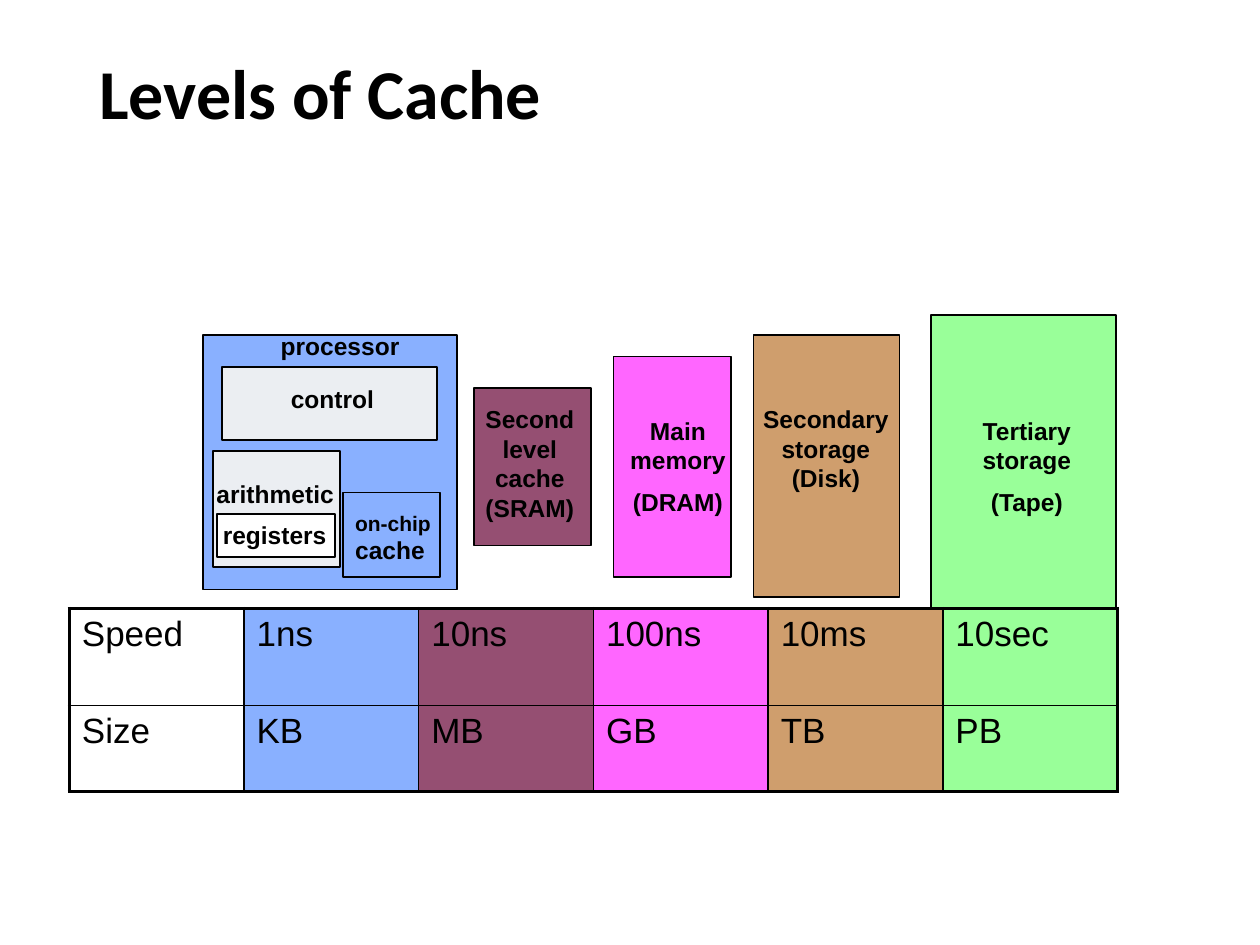
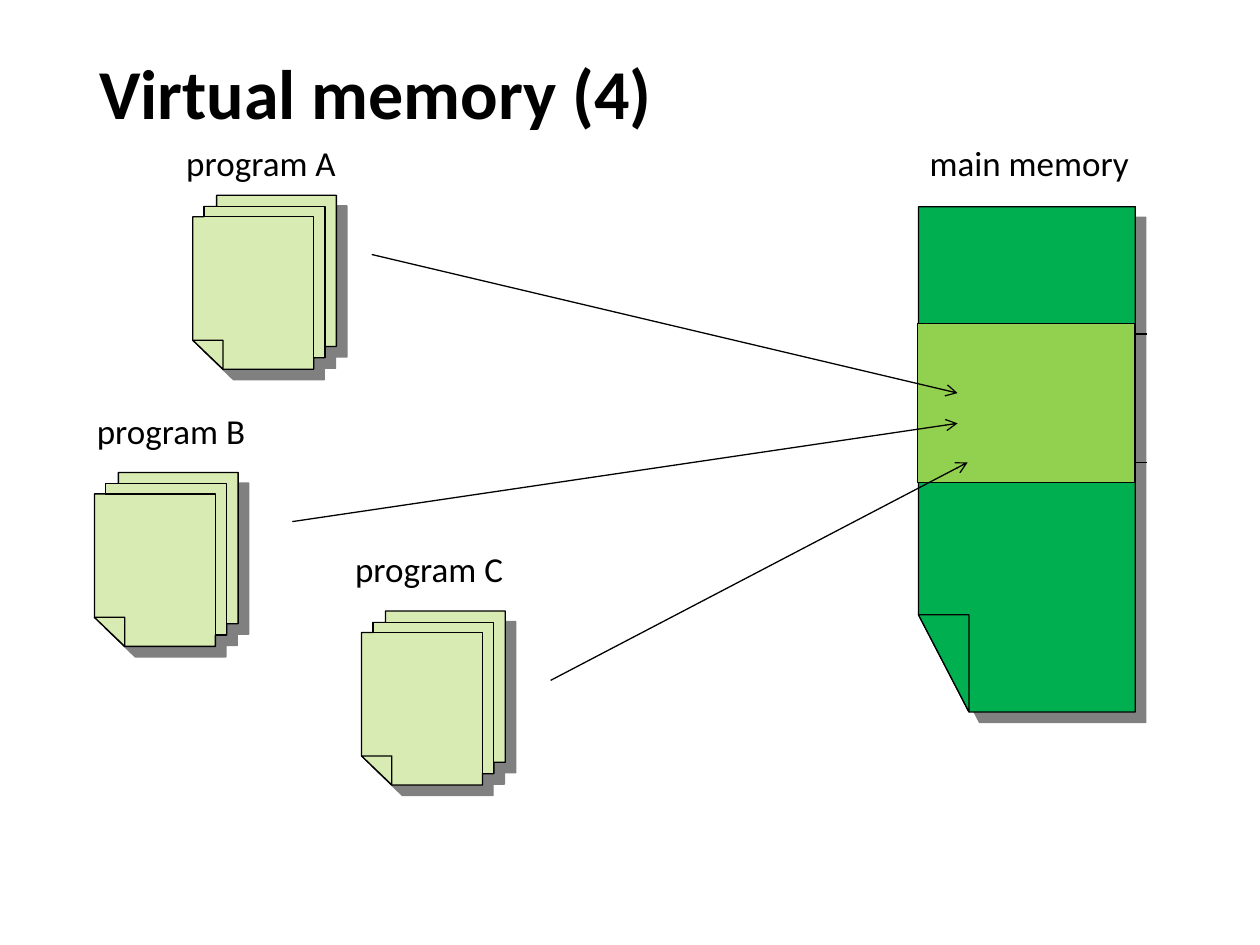
from lxml import etree
from pptx import Presentation
from pptx.dml.color import RGBColor
from pptx.enum.shapes import MSO_CONNECTOR, MSO_SHAPE
from pptx.enum.text import MSO_ANCHOR, PP_ALIGN
from pptx.oxml.ns import qn
from pptx.util import Inches, Pt

RECTANGLE = MSO_SHAPE.RECTANGLE
STRAIGHT = MSO_CONNECTOR.STRAIGHT
TOP, MIDDLE = MSO_ANCHOR.TOP, MSO_ANCHOR.MIDDLE
LEFT, CENTER = PP_ALIGN.LEFT, PP_ALIGN.CENTER

COLUMNS, ROWS = 100, 75
BLACK, WHITE, PALE_GRAY, SHADOW_GRAY = "000000", "FFFFFF", "EBEEF2", "808080"
BLUE, PLUM, PINK, TAN, MINT = "89B0FF", "954F72", "FF66FF", "CF9E6D", "99FF99"
PAGE_GREEN, MEMORY_GREEN, SHARED_GREEN = "D8EBB3", "00B050", "92D050"
THIN, MEDIUM, THICK = 0.75, 1, 2.25

CACHE_LEVELS = [
    (BLUE, "1ns", "KB"),
    (PLUM, "10ns", "MB"),
    (PINK, "100ns", "GB"),
    (TAN, "10ms", "TB"),
    (MINT, "10sec", "PB"),
]
STORAGE_BOXES = [
    (PLUM, (37.6, 30.8, 9.3, 12.5), (36.8, 31.6, 10.5, 10.4), ["Second level cache (SRAM)"]),
    (PINK, (48.7, 28.3, 9.3, 17.5), (48.7, 32.5, 10.2, 9.3), ["Main memory", "(DRAM)"]),
    (TAN, (59.8, 26.6, 11.6, 20.8), (59.3, 31.6, 12.5, 8.1), ["Secondary storage (Disk)"]),
    (MINT, (73.9, 25, 14.7, 23.3), (74.3, 32.5, 14.4, 9.3), ["Tertiary storage", "(Tape)"]),
]
PROCESSOR_BOXES = [
    (BLUE, (16.1, 26.6, 20.2, 20.2)),
    (PALE_GRAY, (17.6, 29.1, 17.1, 5.8)),
    (None, (27.2, 39.1, 7.7, 6.7)),
    (PALE_GRAY, (16.9, 35.8, 10.1, 9.2)),
    (WHITE, (17.2, 40.8, 9.4, 3.4)),
]
PROCESSOR_LABELS = [
    ("registers", (16.7, 40.8, 11.4, 3.4)),
    ("arithmetic", (16.2, 37.5, 11.4, 3.4)),
    ("control", (22.1, 30, 8.7, 3.4)),
    ("processor", (21.3, 25.8, 11.6, 3.4)),
]
PROGRAMS = [
    ("program A", (15.3, 15.5), (13.8, 10.7), (29.5, 20.2), (76, 31.2)),
    ("program B", (7.5, 37.5), (6.7, 32), (23.2, 41.4), (76, 33.6)),
    ("program C", (28.7, 48.5), (27.2, 43), (43.7, 54), (76.8, 36.7)),
]
STACK_OUTLINE = [
    (0, 11.5), (0, 1.7), (0.9, 1.7), (0.9, 0.9), (1.9, 0.9), (1.9, 0), (11.4, 0),
    (11.4, 12), (10.5, 12), (10.5, 12.9), (9.6, 12.9), (9.6, 13.8), (2.4, 13.8),
]
MIDDLE_SHEET = [
    (1.9, 0.9), (10.5, 0.9), (10.5, 12.9), (9.6, 12.9), (9.6, 1.7), (0.9, 1.7), (0.9, 0.9),
]
STACK_FOLD = [(0, 11.5), (2.4, 11.5), (2.4, 13.8)]
MEMORY_OUTLINE = [(0, 0), (17.2, 0), (17.2, 40.1), (4, 40.1), (0, 32.4)]
MEMORY_FOLD = [(0, 32.4), (4, 32.4), (4, 40.1)]


def color(value):
    return RGBColor.from_string(value)


class SlideBuilder:
    def __init__(self, presentation):
        self.presentation = presentation
        self.column = presentation.slide_width / COLUMNS
        self.row = presentation.slide_height / ROWS
        self.slide = None

    def place(self, *lengths):
        units = (self.column, self.row)
        return [round(length * units[index % 2]) for index, length in enumerate(lengths)]

    def start(self, title):
        self.slide = self.presentation.slides.add_slide(self.presentation.slide_layouts[6])
        frame = self.text((6.9, 1.6, 86.2, 12.2), [[(title, 40)]], "Calibri", bold=True)
        frame.vertical_anchor = MIDDLE
        frame.paragraphs[0].line_spacing = 0.9

    def add_runs(self, paragraph, runs, font, bold=False):
        for content, size in runs:
            run = paragraph.add_run()
            run.text = content
            run.font.name = font
            run.font.size = Pt(size)
            run.font.bold = bold
            run.font.color.rgb = color(BLACK)

    def text(self, area, paragraphs, font, bold=False, align=LEFT, wrap=True):
        frame = self.slide.shapes.add_textbox(*self.place(*area)).text_frame
        frame.word_wrap = wrap
        frame.vertical_anchor = TOP
        for index, runs in enumerate(paragraphs):
            paragraph = frame.add_paragraph() if index else frame.paragraphs[0]
            paragraph.alignment = align
            if index:
                paragraph.space_before = Pt(7)
            self.add_runs(paragraph, runs, font, bold)
        return frame

    def paint(self, shape, fill, width):
        shape.shadow.inherit = False
        if fill:
            shape.fill.solid()
            shape.fill.fore_color.rgb = color(fill)
        else:
            shape.fill.background()
        shape.line.color.rgb = color(BLACK)
        shape.line.width = Pt(width)

    def box(self, area, fill, width=MEDIUM):
        shape = self.slide.shapes.add_shape(RECTANGLE, *self.place(*area))
        self.paint(shape, fill, width)

    def outline(self, origin, points, fill, shadow=False):
        corners = [self.place(origin[0] + x, origin[1] + y) for x, y in points]
        builder = self.slide.shapes.build_freeform(*corners[0])
        builder.add_line_segments(corners[1:], close=True)
        shape = builder.convert_to_shape()
        self.paint(shape, fill, THIN)
        if shadow:
            effects = shape._element.spPr.find(qn("a:effectLst"))
            outer = etree.SubElement(
                effects, qn("a:outerShdw"), dist=str(Pt(8.5)), dir="2700000", algn="ctr", rotWithShape="0"
            )
            etree.SubElement(outer, qn("a:srgbClr"), val=SHADOW_GRAY)

    def line(self, begin, end, arrow=False):
        connector = self.slide.shapes.add_connector(STRAIGHT, *self.place(*begin, *end))
        connector.line.color.rgb = color(BLACK)
        connector.line.width = Pt(THIN)
        properties = connector._element.spPr
        if arrow:
            etree.SubElement(properties.find(qn("a:ln")), qn("a:tailEnd"), type="arrow")
        etree.SubElement(properties, qn("a:effectLst"))

    def borders(self, cell, widths):
        properties = cell._tc.get_or_add_tcPr()
        for index, (side, width) in enumerate(widths.items()):
            border = etree.Element(qn("a:ln" + side), w=str(Pt(width)))
            fill = etree.SubElement(border, qn("a:solidFill"))
            etree.SubElement(fill, qn("a:srgbClr"), val=BLACK)
            properties.insert(index, border)

    def table(self, area, rows, row_heights, fills):
        frame = self.slide.shapes.add_table(len(rows), len(fills), *self.place(*area))
        table = frame.table
        table.first_row = table.horz_banding = False
        last_row, last_column = len(rows) - 1, len(fills) - 1
        for row_index, values in enumerate(rows):
            table.rows[row_index].height = round(row_heights[row_index] * self.row)
            for column_index, value in enumerate(values):
                cell = table.cell(row_index, column_index)
                self.add_runs(cell.text_frame.paragraphs[0], [(value, 20)], "Arial")
                fill = fills[column_index]
                if fill:
                    cell.fill.solid()
                    cell.fill.fore_color.rgb = color(fill)
                else:
                    cell.fill.background()
                self.borders(cell, {
                    "L": THICK if column_index == 0 else MEDIUM,
                    "R": THICK if column_index == last_column else MEDIUM,
                    "T": THICK if row_index == 0 else MEDIUM,
                    "B": THICK if row_index == last_row else MEDIUM,
                })


def build_cache_levels(builder):
    builder.start("Levels of Cache")
    for fill, area in PROCESSOR_BOXES:
        builder.box(area, fill)
    builder.text((27.2, 40, 8.5, 5.4), [[("on-chip ", 12), ("cache", 14)]], "Arial", bold=True)
    for label, area in PROCESSOR_LABELS:
        builder.text(area, [[(label, 14)]], "Arial", bold=True, wrap=False)
    for fill, area, label_area, lines in STORAGE_BOXES:
        builder.box(area, fill)
        builder.text(label_area, [[(line, 14)] for line in lines], "Arial", bold=True, align=CENTER)
    fills, speeds, sizes = zip(*CACHE_LEVELS)
    rows = [("Speed", *speeds), ("Size", *sizes)]
    builder.table((5.5, 48.3, 83.2, 14.5), rows, (7.7, 6.8), (None, *fills))


def build_virtual_memory(builder):
    builder.start("Virtual memory (4)")
    for label, stack, label_corner, _, _ in PROGRAMS:
        builder.outline(stack, STACK_OUTLINE, PAGE_GREEN, shadow=True)
        builder.outline(stack, MIDDLE_SHEET, PAGE_GREEN)
        builder.outline(stack, STACK_FOLD, PAGE_GREEN)
        builder.text((*label_corner, 15, 4.4), [[(label, 20)]], "Calibri", wrap=False)
    memory = (72.9, 16.4)
    builder.outline(memory, MEMORY_OUTLINE, MEMORY_GREEN, shadow=True)
    builder.outline(memory, MEMORY_FOLD, MEMORY_GREEN)
    builder.text((72.8, 10.7, 19, 4.4), [[("main memory", 20)]], "Calibri", wrap=False)
    for height in (26.5, 36.7):
        builder.line((72.8, height), (91, height))
    builder.box((72.8, 25.7, 17.3, 12.6), SHARED_GREEN, THIN)
    for _, _, _, begin, end in PROGRAMS:
        builder.line(begin, end, arrow=True)


def main():
    presentation = Presentation()
    presentation.slide_width = Inches(10)
    presentation.slide_height = Inches(7.5)
    builder = SlideBuilder(presentation)
    build_cache_levels(builder)
    build_virtual_memory(builder)
    presentation.save("out.pptx")


if __name__ == "__main__":
    main()
